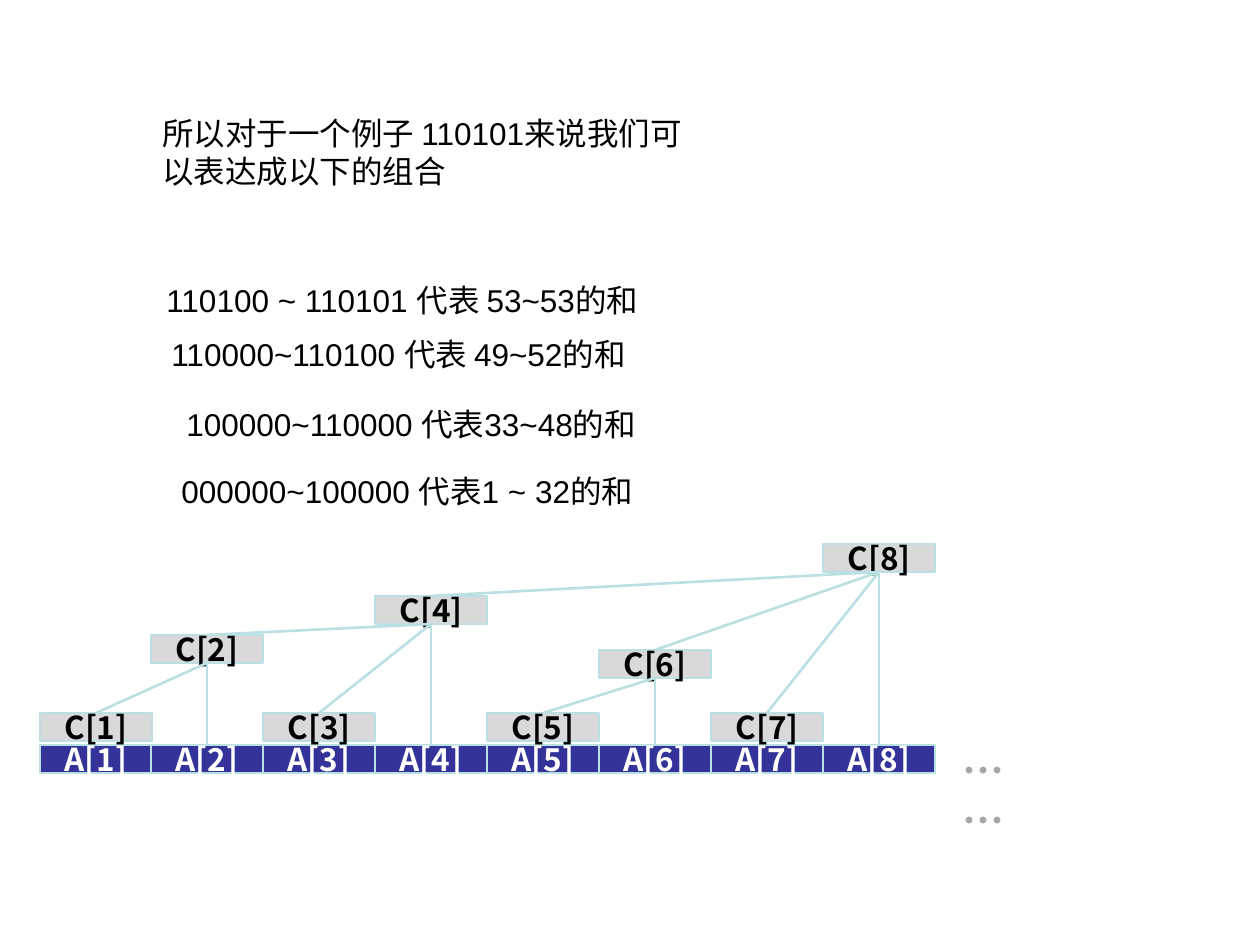
"""Build a slide on binary ranges and the Fenwick tree above an array."""
from dataclasses import dataclass

import lxml.etree
import pptx
import pptx.dml.color
import pptx.enum.shapes
import pptx.enum.text
import pptx.oxml.ns
import pptx.util


@dataclass(frozen=True)
class Theme:
    sans: str = "Arial"
    han: str = "Noto Sans CJK SC"
    body: int = 18
    big: int = 24
    black: str = "000000"
    white: str = "FFFFFF"
    gray: str = "D9D9D9"
    dots: str = "A6A6A6"
    navy: str = "333399"
    aqua: str = "BBE0E3"
    stroke: float = 1.5


@dataclass(frozen=True)
class Note:
    text: str
    left: int
    top: int
    width: int
    height: int


@dataclass(frozen=True)
class Cell:
    text: str
    left: int
    top: int
    fill: str
    ink: str

    @property
    def mid(self) -> int:
        return self.left + WIDE // 2


THEME = Theme()
WIDE, HIGH = 112, 28
LEFT, SPAN, COUNT = 40, 783, 8
BASE = 745
TOPS = {2: 635, 4: 596, 6: 650, 8: 544}
LEAF = 713
NOTES = [
    Note("所以对于一个例子 110101来说我们可以表达成以下的组合", 150, 108, 570, 88),
    Note("110100 ~ 110101 代表 53~53的和", 154, 275, 717, 50),
    Note("110000~110100 代表 49~52的和", 159, 329, 690, 50),
    Note("100000~110000 代表33~48的和", 174, 399, 515, 50),
    Note("000000~100000 代表1 ~ 32的和", 169, 466, 501, 50),
]
DOTS = Note("……", 934, 738, 100, 63)


def px(size: int) -> int:
    return round(size * 914400 / 126)


def rgb(code: str) -> pptx.dml.color.RGBColor:
    return pptx.dml.color.RGBColor.from_string(code)


def write(frame, text: str, face: str, size: int, ink: str, bold: bool, mid: bool) -> None:
    frame.text = text
    frame.word_wrap = True
    para = frame.paragraphs[0]
    if mid:
        para.alignment = pptx.enum.text.PP_ALIGN.CENTER
    for run in para.runs:
        font = run.font
        font.name, font.size, font.bold = face, pptx.util.Pt(size), bold
        font.color.rgb = rgb(ink)
        east = lxml.etree.SubElement(font._element, pptx.oxml.ns.qn("a:ea"))
        east.set("typeface", THEME.han)


def add_note(slide, note: Note, face: str, size: int, ink: str, strong: bool = False) -> None:
    box = slide.shapes.add_textbox(px(note.left), px(note.top), px(note.width), px(note.height))
    write(box.text_frame, note.text, face, size, ink, strong, strong)
    box.text_frame.auto_size = pptx.enum.text.MSO_AUTO_SIZE.SHAPE_TO_FIT_TEXT


def add_cell(slide, cell: Cell) -> None:
    kind = pptx.enum.shapes.MSO_SHAPE.RECTANGLE
    box = slide.shapes.add_shape(kind, px(cell.left), px(cell.top), px(WIDE), px(HIGH))
    box.shadow.inherit = False
    box.fill.solid()
    box.fill.fore_color.rgb = rgb(cell.fill)
    box.line.color.rgb = rgb(THEME.aqua)
    box.line.width = pptx.util.Pt(THEME.stroke)
    write(box.text_frame, cell.text, THEME.han, THEME.body, cell.ink, True, True)
    box.text_frame.vertical_anchor = pptx.enum.text.MSO_ANCHOR.MIDDLE


def add_link(slide, high: Cell, low: Cell) -> None:
    kind = pptx.enum.shapes.MSO_CONNECTOR.STRAIGHT
    line = slide.shapes.add_connector(
        kind, px(high.mid), px(high.top + HIGH), px(low.mid), px(low.top))
    line.line.color.rgb = rgb(THEME.aqua)
    line.line.width = pptx.util.Pt(THEME.stroke)
    lxml.etree.SubElement(line._element.spPr, pptx.oxml.ns.qn("a:effectLst"))


def add_tree(slide) -> None:
    spots = {n: LEFT + SPAN * (n - 1) // (COUNT - 1) for n in range(1, COUNT + 1)}
    items = {n: Cell(f"A[{n}]", x, BASE, THEME.navy, THEME.white) for n, x in spots.items()}
    nodes = {n: Cell(f"C[{n}]", x, TOPS.get(n, LEAF), THEME.gray, THEME.black)
             for n, x in spots.items()}
    for cell in [*items.values(), *nodes.values()]:
        add_cell(slide, cell)
    for n, node in nodes.items():
        if n in TOPS:
            add_link(slide, node, items[n])
        head = n + (n & -n)
        if head in nodes:
            add_link(slide, nodes[head], node)


def main() -> None:
    deck = pptx.Presentation()
    deck.slide_width, deck.slide_height = px(1260), px(945)
    slide = deck.slides.add_slide(deck.slide_layouts[6])
    for note in NOTES:
        add_note(slide, note, THEME.sans, THEME.body, THEME.black)
    add_tree(slide)
    add_note(slide, DOTS, THEME.han, THEME.big, THEME.dots, strong=True)
    deck.save("out.pptx")


if __name__ == "__main__":
    main()
